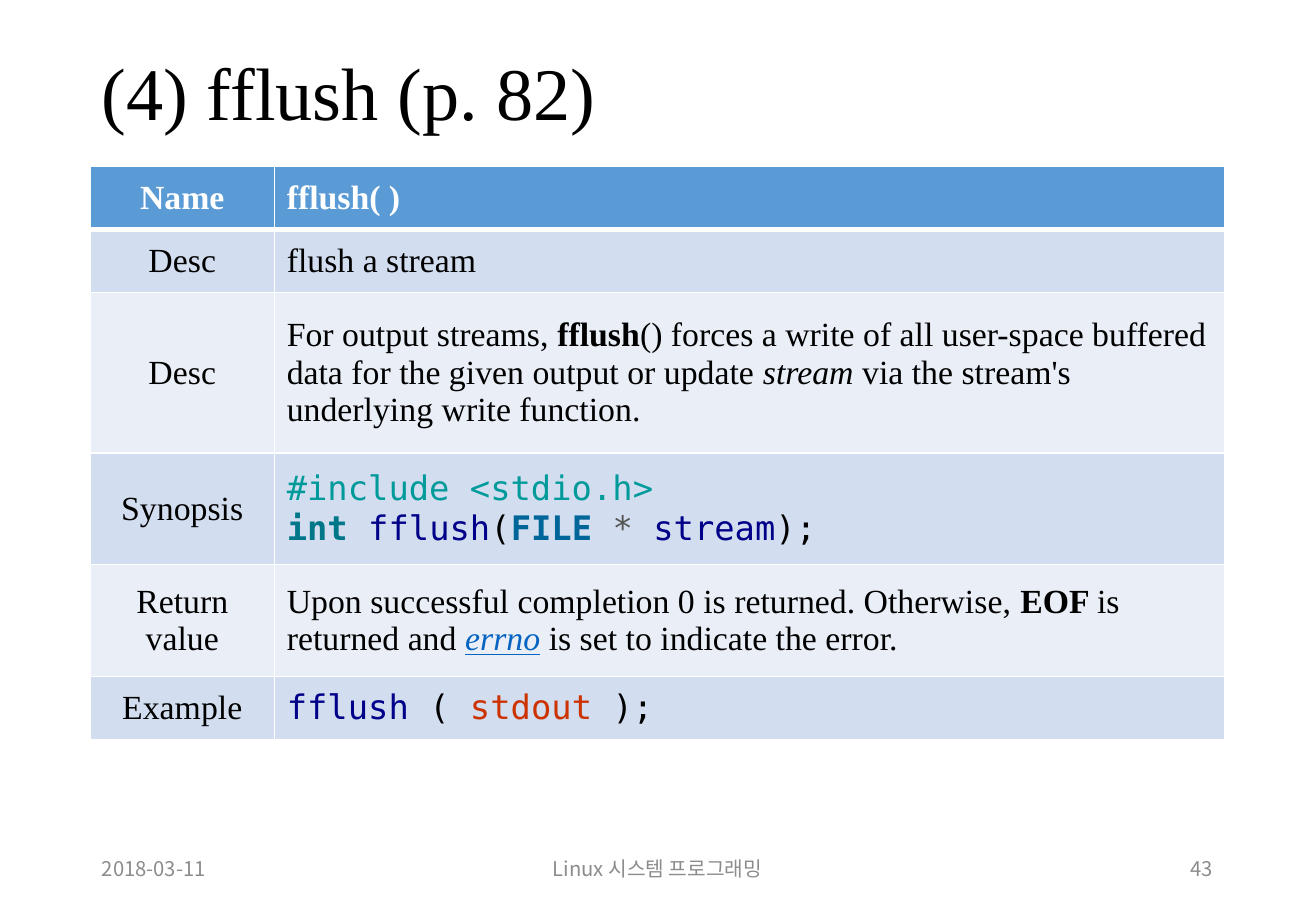
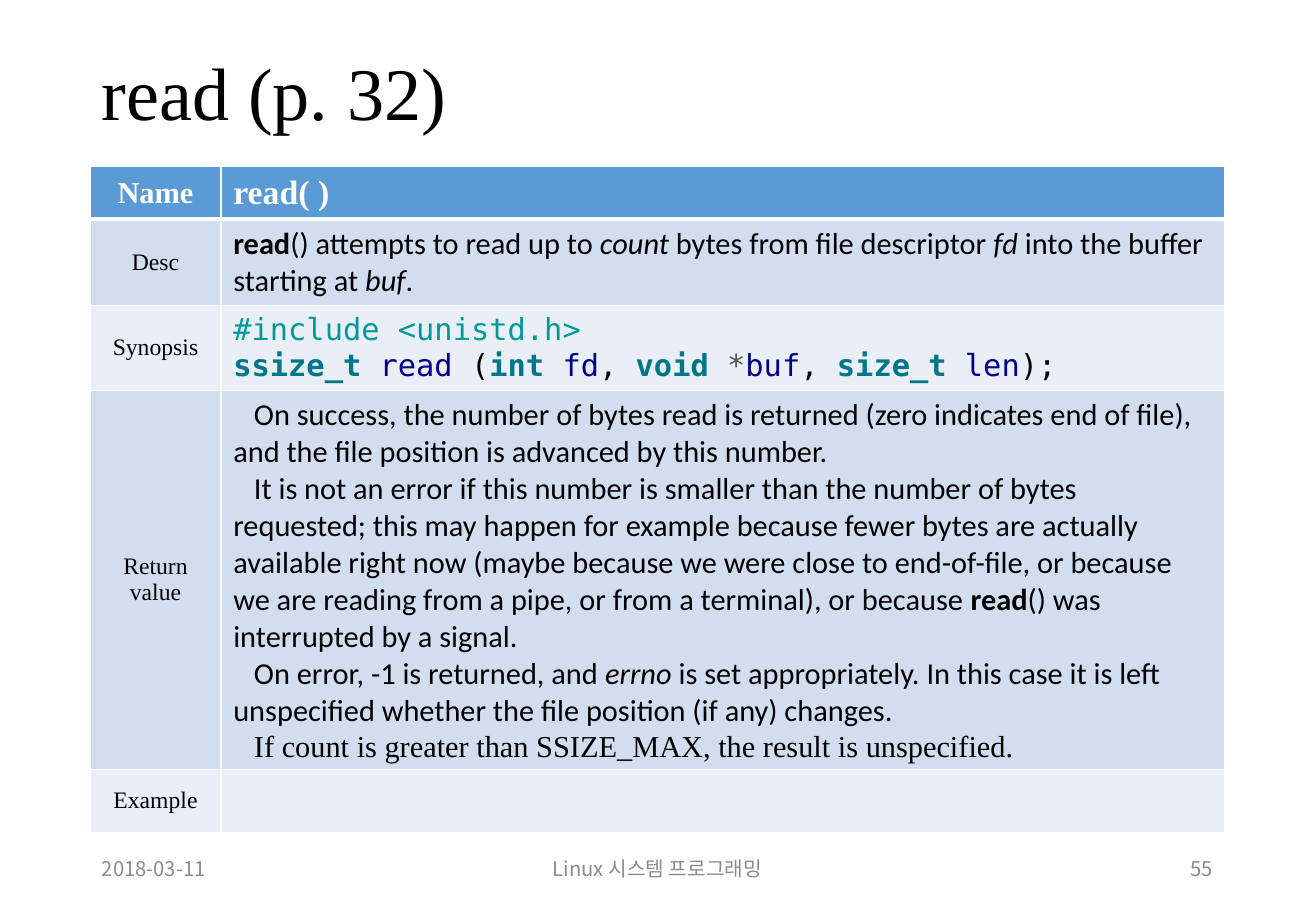
from dataclasses import dataclass

from lxml import etree
from pptx import Presentation
from pptx.dml.color import RGBColor
from pptx.enum.text import MSO_ANCHOR, PP_ALIGN
from pptx.oxml.ns import qn
from pptx.util import Inches, Pt

MIDDLE = MSO_ANCHOR.MIDDLE
LEFT, CENTER, RIGHT = PP_ALIGN.LEFT, PP_ALIGN.CENTER, PP_ALIGN.RIGHT


@dataclass(frozen=True)
class Theme:
    serif: str = "Times New Roman"
    sans: str = "Calibri"
    mono: str = "DejaVu Sans Mono"
    footer_face: str = "Noto Sans CJK KR"
    title_size: int = 44
    large: int = 20
    medium: int = 18
    small: int = 14
    footer_size: int = 12
    black: str = "000000"
    white: str = "FFFFFF"
    footer_gray: str = "8C8C8C"
    header_fill: str = "5B9BD5"
    bands: tuple = ("D2DEEF", "EAEFF7")
    thin: float = 1
    thick: float = 3


@dataclass(frozen=True)
class Style:
    color: str = "000000"
    bold: bool = False
    italic: bool = False
    underline: bool = False


@dataclass(frozen=True)
class Line:
    runs: tuple
    face: str
    size: int
    indent: float = 0


THEME = Theme()
STYLES = {
    "plain": Style(),
    "bold": Style(bold=True),
    "italic": Style(italic=True),
    "header": Style(THEME.white, bold=True),
    "link": Style("0563C1", italic=True, underline=True),
    "include": Style("009A9A"),
    "type": Style("007789", bold=True),
    "class": Style("00669A", bold=True),
    "name": Style("000089"),
    "operator": Style("555555"),
    "constant": Style("CD3300"),
}
MARGIN, CONTENT_WIDTH = 0.74, 9.34
TITLE_BOX = (MARGIN, 0.4, CONTENT_WIDTH, 0.79)
FOOTER_BOX = (MARGIN, 6.95, CONTENT_WIDTH, 0.4)
TABLE_TOP = 1.37
FIRST_INDENT = 0.17


def serif(*runs, size=THEME.large, indent=0):
    return Line(runs, THEME.serif, size, indent)


def sans(*runs, indent=0):
    return Line(runs, THEME.sans, THEME.medium, indent)


def code(*runs, size=THEME.large):
    return Line(runs, THEME.mono, size)


def small_code(*runs):
    return code(*runs, size=THEME.medium)


def add_label(slide, box, text, face, size, color, alignment=LEFT, spacing=None):
    shape = slide.shapes.add_textbox(*map(Inches, box))
    frame = shape.text_frame
    frame.word_wrap = True
    frame.vertical_anchor = MIDDLE
    paragraph = frame.paragraphs[0]
    paragraph.text = text
    paragraph.alignment = alignment
    paragraph.line_spacing = spacing
    paragraph.font.name = face
    paragraph.font.size = Pt(size)
    paragraph.font.color.rgb = RGBColor.from_string(color)


def add_title(slide, box, text):
    add_label(slide, box, text, THEME.serif, THEME.title_size, THEME.black, spacing=0.9)


def add_footer(slide, box, number):
    left, top, width, height = box
    side, middle = 2.44, 3.66
    parts = (
        (left, side, "2018-03-11", LEFT),
        (left + (width - middle) / 2, middle, "Linux 시스템 프로그래밍", CENTER),
        (left + width - side, side, str(number), RIGHT),
    )
    for part_left, part_width, text, alignment in parts:
        add_label(slide, (part_left, top, part_width, height), text,
                  THEME.footer_face, THEME.footer_size, THEME.footer_gray, alignment)


def set_borders(cell, top, bottom):
    properties = cell._tc.get_or_add_tcPr()
    widths = {"lnL": THEME.thin, "lnR": THEME.thin, "lnT": top, "lnB": bottom}
    for tag, width in widths.items():
        border = etree.SubElement(properties, qn(f"a:{tag}"), w=str(Pt(width)))
        fill = etree.SubElement(border, qn("a:solidFill"))
        etree.SubElement(fill, qn("a:srgbClr"), val=THEME.white)


def write_line(paragraph, line, alignment):
    paragraph.alignment = alignment
    if line.indent:
        properties = paragraph._p.get_or_add_pPr()
        properties.set("marL", "0")
        properties.set("indent", str(Inches(line.indent)))
    paragraph.font.name = line.face
    paragraph.font.size = Pt(line.size)
    for text, style_name in line.runs:
        style = STYLES[style_name]
        run = paragraph.add_run()
        run.text = text
        run.font.bold = style.bold
        run.font.italic = style.italic
        run.font.underline = style.underline
        run.font.color.rgb = RGBColor.from_string(style.color)


def fill_cell(cell, lines, row, alignment):
    set_borders(cell, THEME.thick if row == 1 else THEME.thin,
                THEME.thick if row == 0 else THEME.thin)
    color = THEME.bands[(row - 1) % 2] if row else THEME.header_fill
    cell.fill.solid()
    cell.fill.fore_color.rgb = RGBColor.from_string(color)
    cell.vertical_anchor = MIDDLE
    frame = cell.text_frame
    for index, line in enumerate(lines):
        paragraph = frame.add_paragraph() if index else frame.paragraphs[0]
        write_line(paragraph, line, alignment)


def add_reference_table(slide, left, top, width, label_width, header_size, label_size, rows):
    height = sum(row_height for row_height, _, _ in rows)
    frame = slide.shapes.add_table(len(rows), 2, *map(Inches, (left, top, width, height)))
    table = frame.table
    table.first_row = table.horz_banding = False
    table.columns[0].width = Inches(label_width)
    table.columns[1].width = Inches(width - label_width)
    for index, (row_height, label, lines) in enumerate(rows):
        table.rows[index].height = Inches(row_height)
        style, size = ("plain", label_size) if index else ("header", header_size)
        fill_cell(table.cell(index, 0), [serif((label, style), size=size)], index, CENTER)
        fill_cell(table.cell(index, 1), lines, index, LEFT)


def add_function_slide(presentation, title, number, **table):
    slide = presentation.slides.add_slide(presentation.slide_layouts[6])
    add_title(slide, TITLE_BOX, title)
    add_footer(slide, FOOTER_BOX, number)
    add_reference_table(slide, MARGIN, TABLE_TOP, CONTENT_WIDTH, **table)


FFLUSH_ROWS = (
    (0.52, "Name", [serif(("fflush( )", "header"))]),
    (0.52, "Desc", [serif(("flush a stream", "plain"))]),
    (1.32, "Desc", [serif(
        ("For output streams, ", "plain"), ("fflush", "bold"),
        ("() forces a write of all user-space buffered data for the given output or update ",
         "plain"),
        ("stream", "italic"), (" via the stream's underlying write function.", "plain"))]),
    (0.92, "Synopsis", [
        code(("#include <stdio.h>", "include")),
        code(("int ", "type"), ("fflush", "name"), ("(", "plain"), ("FILE ", "class"),
             ("* ", "operator"), ("stream", "name"), (");", "plain"))]),
    (0.92, "Return value", [serif(
        ("Upon successful completion 0 is returned. Otherwise, ", "plain"),
        ("EOF ", "bold"), ("is returned and ", "plain"), ("errno", "link"),
        (" is set to indicate the error.", "plain"))]),
    (0.52, "Example", [code(("fflush ", "name"), ("(", "plain"),
                            (" stdout ", "constant"), (");", "plain"))]),
)

READ_ROWS = (
    (0.41, "Name", [serif(("read( )", "header"))]),
    (0.71, "Desc", [sans(
        ("read", "bold"), ("() attempts to read up to ", "plain"), ("count", "italic"),
        (" bytes from file descriptor ", "plain"), ("fd", "italic"),
        (" into the buffer starting at ", "plain"), ("buf", "italic"), (".", "plain"))]),
    (0.69, "Synopsis", [
        small_code(("#include <unistd.h>", "include")),
        small_code(("ssize_t ", "type"), ("read ", "name"), ("(", "plain"), ("int ", "type"),
                   ("fd", "name"), (", ", "plain"), ("void ", "type"), ("*", "operator"),
                   ("buf", "name"), (", ", "plain"), ("size_t ", "type"), ("len", "name"),
                   (");", "plain"))]),
    (3.12, "Return value", [
        sans(("On success, the number of bytes read is returned (zero indicates end of file), "
              "and the file position is advanced by this number.", "plain"),
             indent=FIRST_INDENT),
        sans(("It is not an error if this number is smaller than the number of bytes requested; "
              "this may happen for example because fewer bytes are actually available right now "
              "(maybe because we were close to end-of-file, or because we are reading from a "
              "pipe, or from a terminal), or because ", "plain"),
             ("read", "bold"), ("() was interrupted by a signal.", "plain"),
             indent=FIRST_INDENT),
        sans(("On error, -1 is returned, and ", "plain"), ("errno", "italic"),
             (" is set appropriately. In this case it is left unspecified whether the file "
              "position (if any) changes.", "plain"), indent=FIRST_INDENT),
        serif(("If count is greater than SSIZE_MAX, the result is unspecified.", "plain"),
              size=THEME.medium, indent=FIRST_INDENT)]),
    (0.52, "Example", []),
)


def main():
    presentation = Presentation()
    presentation.slide_width = Inches(10.83)
    presentation.slide_height = Inches(7.5)
    add_function_slide(presentation, "(4) fflush (p. 82)", 43, label_width=1.52,
                       header_size=THEME.large, label_size=THEME.large, rows=FFLUSH_ROWS)
    add_function_slide(presentation, "read (p. 32)", 55, label_width=1.08,
                       header_size=THEME.medium, label_size=THEME.small, rows=READ_ROWS)
    presentation.save("out.pptx")


if __name__ == "__main__":
    main()
